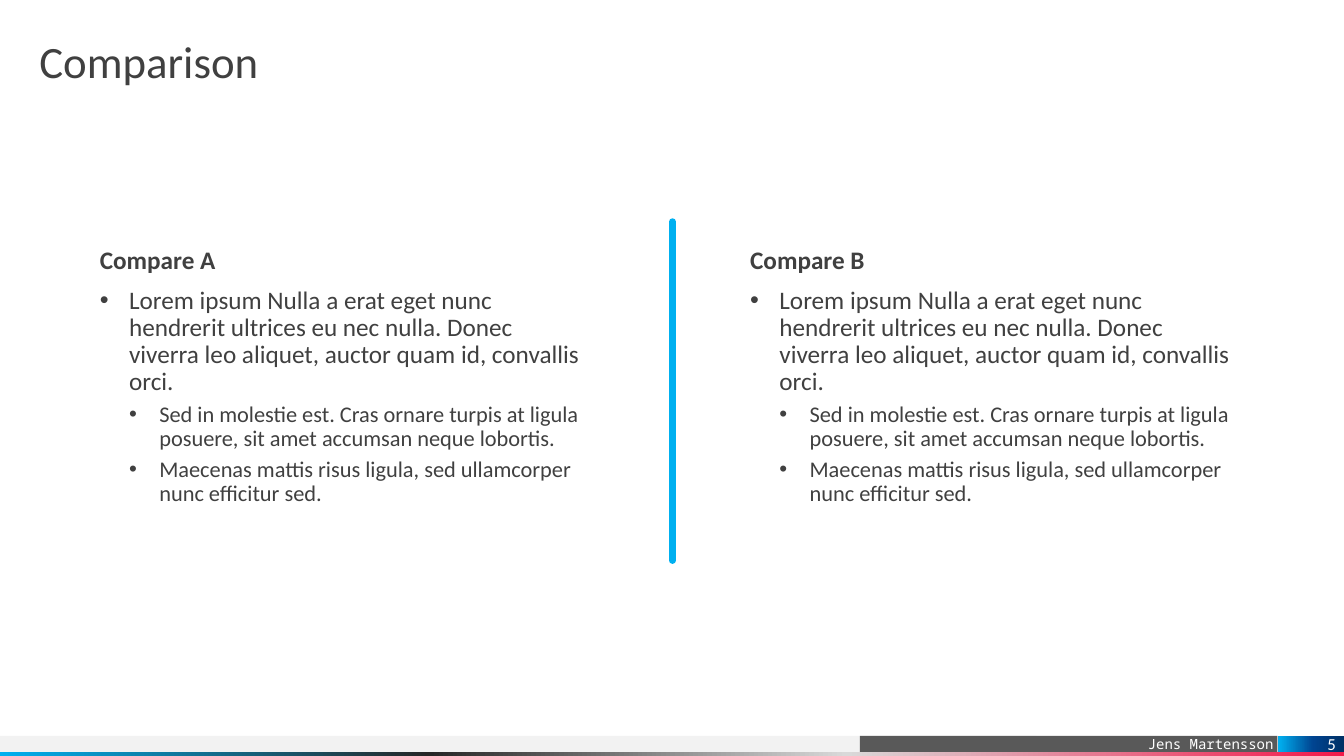
from lxml.etree import SubElement
from pptx import Presentation
from pptx.dml.color import RGBColor
from pptx.enum.shapes import MSO_CONNECTOR, MSO_SHAPE
from pptx.enum.text import MSO_ANCHOR, MSO_AUTO_SIZE, PP_ALIGN
from pptx.oxml.ns import qn
from pptx.util import Inches, Pt

TITLE = "Comparison"
HEADINGS = ["Compare A", "Compare B"]
POINTS = [
    (0, "Lorem ipsum Nulla a erat eget nunc hendrerit ultrices eu nec nulla. "
        "Donec viverra leo aliquet, auctor quam id, convallis orci."),
    (1, "Sed in molestie est. Cras ornare turpis at ligula posuere, "
        "sit amet accumsan neque lobortis."),
    (1, "Maecenas mattis risus ligula, sed ullamcorper nunc efficitur sed."),
]
AUTHOR = "Jens Martensson"
PAGE_NUMBER = "5"

DARK, WHITE, ACCENT = "404040", "FFFFFF", "00B0F0"
STRIP_STOPS = [(0, "F2194A"), (37, "D9D9D9"), (68, "262626"), (100, ACCENT)]
NUMBER_STOPS = [(0, "003065"), (47, "004490"), (100, ACCENT)]

TITLE_FONT = {"size": Pt(32), "name": "Calibri", "bold": False}
HEADING_FONT = {"size": Pt(18), "name": "Calibri", "bold": True}
POINT_FONTS = [
    {"size": Pt(18), "name": "Calibri", "bold": False},
    {"size": Pt(16), "name": "Calibri", "bold": False},
]
AUTHOR_FONT = {"size": Pt(10), "name": "Noto Sans Mono"}
NUMBER_FONT = {"size": Pt(12), "name": "Calibri"}
POINT_INDENTS = [(0.29, -0.29), (0.59, -0.3)]
POINT_SPACES = [10, 5]

COLUMN_LEFT, COLUMN_STEP, COLUMN_WIDTH = 0.99, 6.45, 4.83
HEADING_TOP, HEADING_HEIGHT, POINTS_HEIGHT = 2.46, 0.39, 2.31
FOOTER_TOP, FOOTER_HEIGHT = 7.3, 0.16


def color(value):
    return RGBColor.from_string(value)


def set_values(target, values):
    for name, value in values.items():
        setattr(target, name, value)


def place(shape, left, top, width, height):
    set_values(shape, {"left": Inches(left), "top": Inches(top),
                       "width": Inches(width), "height": Inches(height)})


def set_frame(shape, anchor, left=0, right=0):
    frame = shape.text_frame
    set_values(frame, {"margin_left": Inches(left), "margin_right": Inches(right),
                       "margin_top": 0, "margin_bottom": 0, "word_wrap": True,
                       "auto_size": MSO_AUTO_SIZE.NONE, "vertical_anchor": anchor})
    return frame


def write(para, text, font, text_color, **layout):
    span = para.add_run()
    span.text = text
    set_values(span.font, font)
    span.font.color.rgb = color(text_color)
    set_values(para, layout)


def add_bullet(para, margin, indent):
    properties = para._p.get_or_add_pPr()
    properties.set("marL", str(Inches(margin)))
    properties.set("indent", str(Inches(indent)))
    SubElement(properties, qn("a:buChar")).set("char", "•")


def add_bar(page, left, top, width, height, fill):
    bar = page.shapes.add_shape(MSO_SHAPE.RECTANGLE, Inches(left), Inches(top),
                                Inches(width), Inches(height))
    bar.shadow.inherit = False
    bar.line.fill.background()
    if isinstance(fill, str):
        bar.fill.solid()
        bar.fill.fore_color.rgb = color(fill)
        return bar
    bar.fill.gradient()
    bar.fill.gradient_angle = 180
    stops = bar._element.spPr.find(qn("a:gradFill")).find(qn("a:gsLst"))
    for stop in list(stops):
        stops.remove(stop)
    for position, value in fill:
        stop = SubElement(stops, qn("a:gs"))
        stop.set("pos", str(position * 1000))
        SubElement(stop, qn("a:srgbClr")).set("val", value)
    return bar


def add_column(heading, points, left, title):
    place(heading, left, HEADING_TOP, COLUMN_WIDTH, HEADING_HEIGHT)
    frame = set_frame(heading, MSO_ANCHOR.TOP)
    write(frame.paragraphs[0], title, HEADING_FONT, DARK,
          alignment=PP_ALIGN.LEFT, line_spacing=0.9, space_before=Pt(10))
    place(points, left, HEADING_TOP + HEADING_HEIGHT, COLUMN_WIDTH, POINTS_HEIGHT)
    frame = set_frame(points, MSO_ANCHOR.TOP)
    for index, (level, text) in enumerate(POINTS):
        para = frame.add_paragraph() if index else frame.paragraphs[0]
        write(para, text, POINT_FONTS[level], DARK, level=level, line_spacing=0.9,
              alignment=PP_ALIGN.LEFT, space_before=Pt(POINT_SPACES[level]))
        add_bullet(para, *POINT_INDENTS[level])


def add_divider(page):
    divider = page.shapes.add_connector(MSO_CONNECTOR.STRAIGHT, Inches(6.67), Inches(2.2),
                                        Inches(6.67), Inches(5.56))
    divider.line.color.rgb = color(ACCENT)
    divider.line.width = Pt(5)
    divider.line._get_or_add_ln().set("cap", "rnd")
    SubElement(divider._element.spPr, qn("a:effectLst"))


def add_footer(page):
    add_bar(page, -0.01, FOOTER_TOP, 10.29, FOOTER_HEIGHT, "F2F2F2")
    author = add_bar(page, 8.53, FOOTER_TOP, 4.14, FOOTER_HEIGHT, "595959")
    frame = set_frame(author, MSO_ANCHOR.BOTTOM, 0.1, 0.04)
    write(frame.paragraphs[0], AUTHOR, AUTHOR_FONT, WHITE, alignment=PP_ALIGN.RIGHT)
    add_bar(page, -0.01, FOOTER_TOP + FOOTER_HEIGHT, 13.34, 0.04, STRIP_STOPS)
    number = add_bar(page, 12.68, FOOTER_TOP, 0.65, FOOTER_HEIGHT, NUMBER_STOPS)
    frame = set_frame(number, MSO_ANCHOR.MIDDLE, 0, 0.08)
    write(frame.paragraphs[0], PAGE_NUMBER, NUMBER_FONT, WHITE, alignment=PP_ALIGN.RIGHT)


def main():
    deck = Presentation()
    deck.slide_width, deck.slide_height = Inches(13.33), Inches(7.5)
    page = deck.slides.add_slide(deck.slide_layouts.get_by_name("Comparison"))
    title, *bodies = page.placeholders
    place(title, 0.39, 0.39, 12.55, 0.59)
    frame = set_frame(title, MSO_ANCHOR.TOP)
    write(frame.paragraphs[0], TITLE, TITLE_FONT, DARK,
          alignment=PP_ALIGN.LEFT, line_spacing=0.9)
    for index, heading in enumerate(HEADINGS):
        add_column(bodies[2 * index], bodies[2 * index + 1],
                   COLUMN_LEFT + index * COLUMN_STEP, heading)
    add_divider(page)
    add_footer(page)
    deck.save("out.pptx")


if __name__ == "__main__":
    main()
